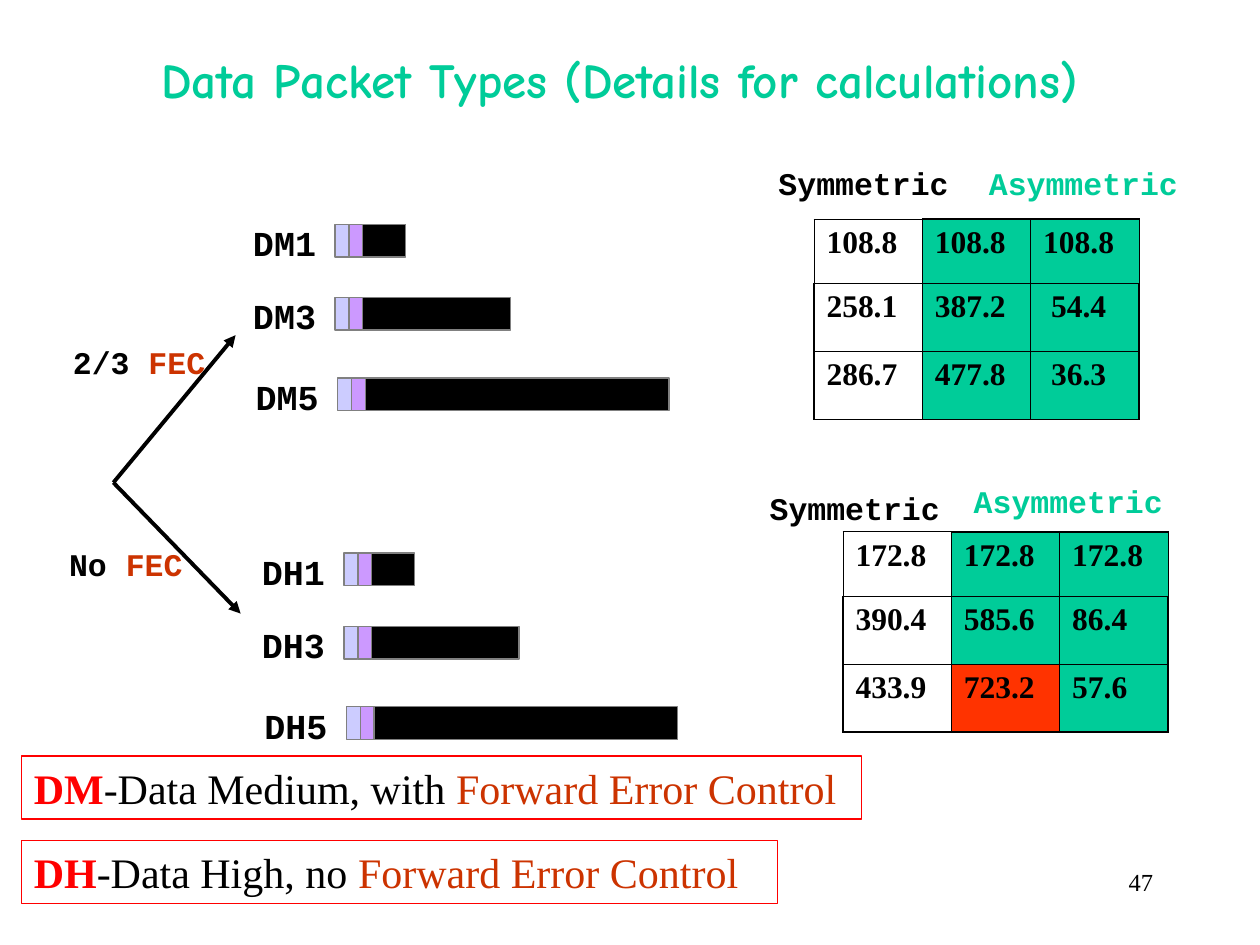
from lxml import etree
from pptx import Presentation
from pptx.dml.color import RGBColor
from pptx.enum.shapes import MSO_CONNECTOR as CONN, MSO_SHAPE as SHAPE
from pptx.enum.text import MSO_ANCHOR as ANCHOR, PP_ALIGN as ALIGN
from pptx.oxml import parse_xml
from pptx.oxml.ns import nsdecls, qn
from pptx.util import Inches, Pt

BLACK, GREEN, RUST, RED = "000000", "00CC99", "CC3300", "FF0000"
HOT, GRAY = "FF3300", "808080"
LILAC, VIOLET = "CCCCFF", "CC99FF"
SERIF, MONO, COMIC = "Times New Roman", "Courier New", "Comic Neue"
PACKETS = [(1, 0, 0, 0.34), (3, 0, 0.58, 1.17), (5, 0.02, 1.22, 2.41)]
DM_RATES = [["108.8", "108.8", "108.8"],
            ["258.1", "387.2", " 54.4"],
            ["286.7", "477.8", " 36.3"]]
DH_RATES = [["172.8", "172.8", "172.8"],
            ["390.4", "585.6", "86.4"],
            ["433.9", "723.2", "57.6"]]


def rgb(color):
    return RGBColor.from_string(color)


def box(x, y, w, h):
    return Inches(x), Inches(y), Inches(w), Inches(h)


def write(tf, text, size=18, font=MONO, color=BLACK, bold=True,
          align=None, anchor=ANCHOR.TOP, wrap=False):
    tf.word_wrap = wrap
    tf.vertical_anchor = anchor
    p = tf.paragraphs[0]
    p.alignment = align
    parts = [(text, color, bold)] if isinstance(text, str) else text
    for words, run_color, run_bold in parts:
        r = p.add_run()
        r.text = words
        r.font.size = Pt(size)
        r.font.name = font
        r.font.bold = run_bold
        r.font.color.rgb = rgb(run_color)


def add_text(shapes, text, x, y, w, h, **style):
    tb = shapes.add_textbox(*box(x, y, w, h))
    write(tb.text_frame, text, **style)


def add_rect(shapes, x, y, w, h, fill=None, line=GRAY):
    sp = shapes.add_shape(SHAPE.RECTANGLE, *box(x, y, w, h))
    sp.shadow.inherit = False
    if fill:
        sp.fill.solid()
        sp.fill.fore_color.rgb = rgb(fill)
    else:
        sp.fill.background()
    sp.line.color.rgb = rgb(line)
    sp.line.width = Pt(0.75)
    return sp


def add_packets(shapes, family, x, y):
    group = shapes.add_group_shape().shapes
    for slots, dx, dy, payload in PACKETS:
        left, top = x + dx, y + dy
        add_text(group, f"{family}{slots}", left, top, 0.7, 0.44, size=20)
        for start, width, fill in [(0.75, 0.11, LILAC), (0.97, payload, BLACK),
                                   (0.86, 0.11, VIOLET)]:
            add_rect(group, left + start, top + 0.07, width, 0.26, fill)


def add_arrow(shapes, x1, y1, x2, y2):
    c = shapes.add_connector(CONN.STRAIGHT, Inches(x1), Inches(y1),
                             Inches(x2), Inches(y2))
    c.line.color.rgb = rgb(BLACK)
    c.line.width = Pt(2.25)
    etree.SubElement(c.line._get_or_add_ln(), qn("a:tailEnd"), type="triangle")
    etree.SubElement(c._element.spPr, qn("a:effectLst"))


def set_borders(cell, heavy):
    tcPr = cell._tc.get_or_add_tcPr()
    for i, side in enumerate("LRTB"):
        width = Pt(1.08 if side in heavy else 0.45)
        tcPr.insert(i, parse_xml(
            f'<a:ln{side} {nsdecls("a")} w="{width}"><a:solidFill>'
            f'<a:srgbClr val="{BLACK}"/></a:solidFill></a:ln{side}>'))


def heavy_sides(row, col):
    rules = {"L": col == 0 and row > 0, "R": col == 2 and row > 0,
             "T": row == 0 and col > 0, "B": row == 2}
    return [side for side, heavy in rules.items() if heavy]


def add_rates(shapes, rates, x, y, peak=None):
    table = shapes.add_table(3, 3, *box(x, y, 2.58, 1.59)).table
    table.first_row = table.horz_banding = False
    for i, height in enumerate([0.51, 0.54, 0.54]):
        table.columns[i].width = Inches(0.86)
        table.rows[i].height = Inches(height)
    for row, values in enumerate(rates):
        for col, value in enumerate(values):
            cell = table.cell(row, col)
            write(cell.text_frame, value, font=SERIF, wrap=True)
            if col:
                cell.fill.solid()
                cell.fill.fore_color.rgb = rgb(HOT if value == peak else GREEN)
            else:
                cell.fill.background()
            set_borders(cell, heavy_sides(row, col))


def add_legend(shapes, code, meaning, y, w):
    sp = add_rect(shapes, 0.17, y, w, 0.5, line=RED)
    parts = [(code, RED, True), (meaning, BLACK, False),
             ("Forward Error Control", RUST, False)]
    write(sp.text_frame, parts, size=24, font=SERIF, align=ALIGN.LEFT, wrap=True)


def add_title(slide, text):
    title = slide.shapes.title
    title.left, title.top, title.width, title.height = box(0.58, 0.25, 8.67, 0.75)
    write(title.text_frame, text, size=28, font=COMIC, color=GREEN,
          align=ALIGN.CENTER, anchor=ANCHOR.MIDDLE, wrap=True)


def main():
    prs = Presentation()
    prs.slide_width, prs.slide_height = Inches(10), Inches(7.5)
    slide = prs.slides.add_slide(prs.slide_layouts[5])
    shapes = slide.shapes
    add_title(slide, "Data Packet Types (Details for calculations)")
    add_text(shapes, "47", 7.17, 6.83, 2.08, 0.5, size=14, font=SERIF,
             bold=False, align=ALIGN.RIGHT, wrap=True)

    add_packets(shapes, "DM", 1.91, 1.71)
    add_packets(shapes, "DH", 1.98, 4.32)
    add_arrow(shapes, 0.9, 3.83, 1.87, 2.66)
    add_arrow(shapes, 0.9, 3.83, 1.91, 4.87)
    for label, x, y, w in [("2/3 ", 0.48, 2.67, 1.25), ("No ", 0.45, 4.28, 1.1)]:
        add_text(shapes, [(label, BLACK, True), ("FEC", RUST, True)], x, y, w, 0.4)

    for label, x, y, w, color in [("Symmetric", 6.08, 1.25, 1.55, BLACK),
                                  ("Asymmetric", 7.75, 1.25, 1.7, GREEN),
                                  ("Symmetric", 6.01, 3.83, 1.55, BLACK),
                                  ("Asymmetric", 7.63, 3.78, 1.7, GREEN)]:
        add_text(shapes, label, x, y, w, 0.4, color=color)
    add_rates(shapes, DM_RATES, 6.46, 1.74)
    add_rates(shapes, DH_RATES, 6.69, 4.22, peak="723.2")

    add_legend(shapes, "DH", "-Data High, no ", 6.67, 6)
    add_legend(shapes, "DM", "-Data Medium, with ", 6, 6.67)
    prs.save("out.pptx")


main()
